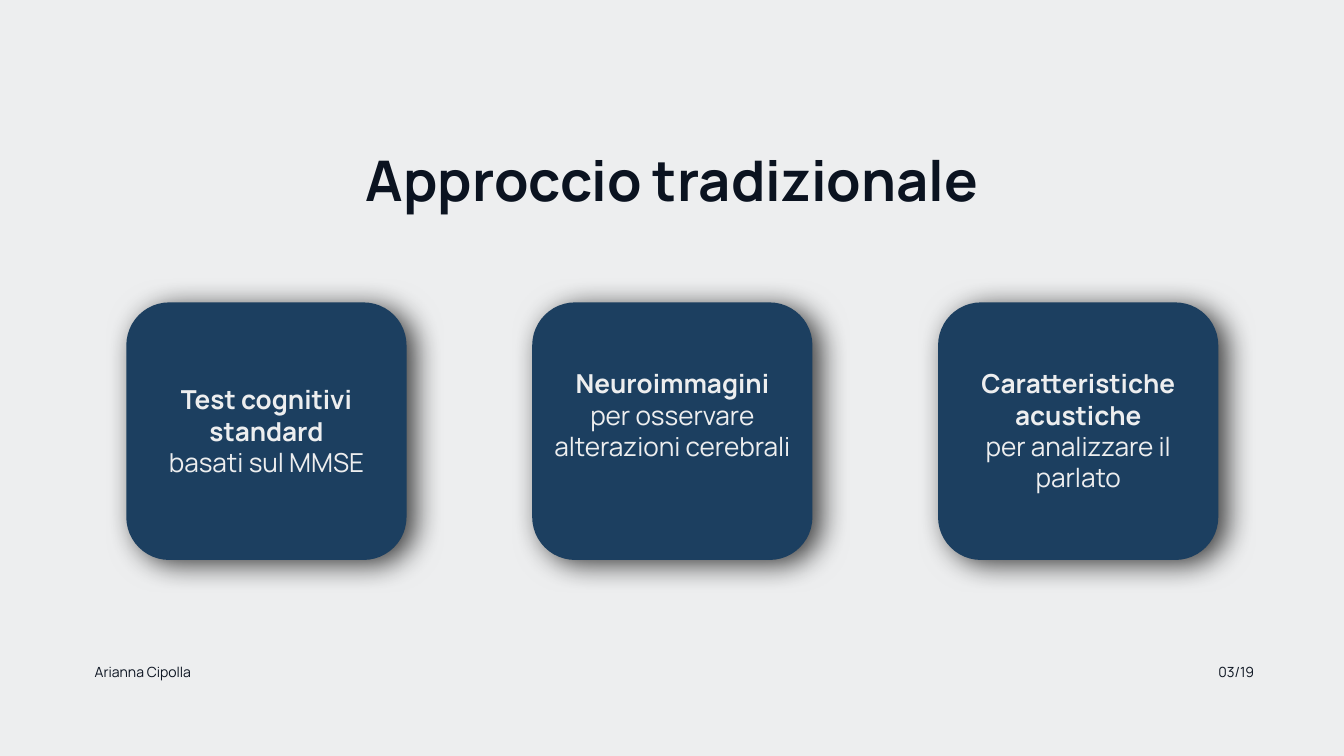
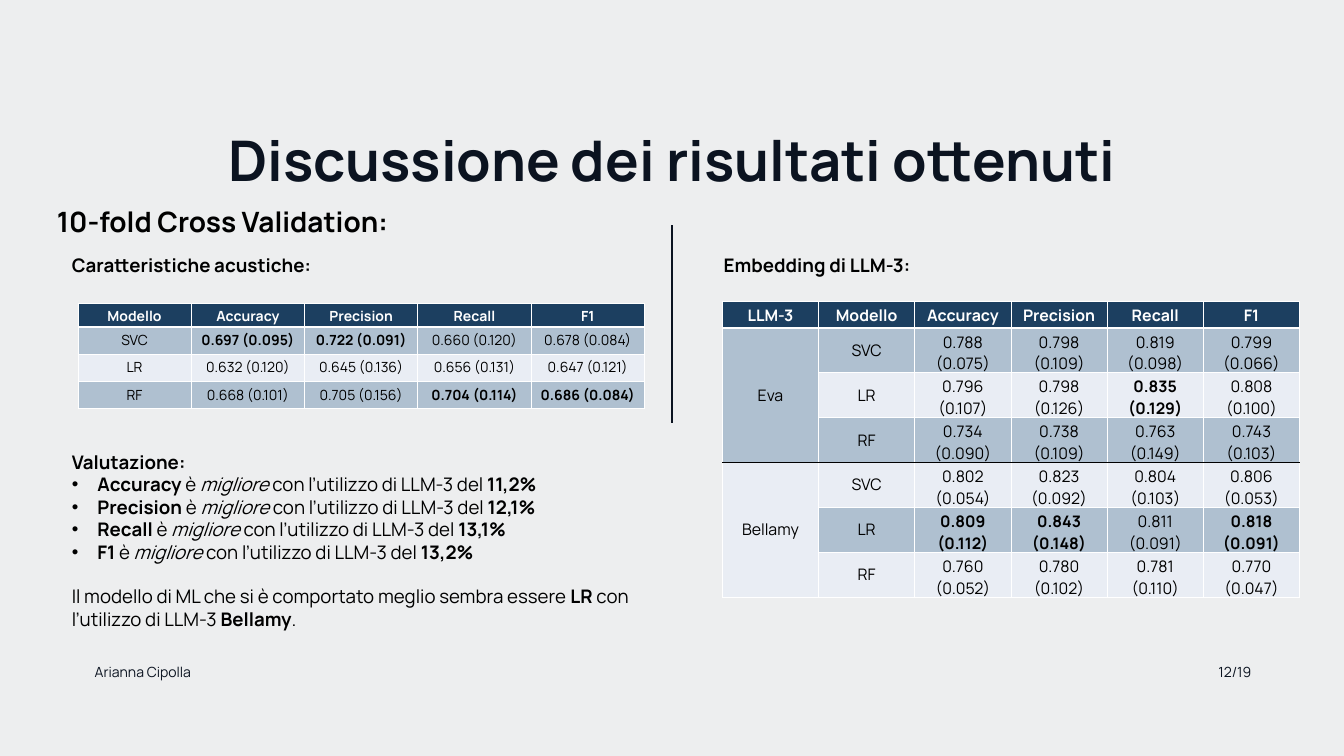
from dataclasses import dataclass

from lxml import etree
from pptx import Presentation
from pptx.dml.color import RGBColor
from pptx.enum.shapes import MSO_CONNECTOR, MSO_SHAPE
from pptx.enum.text import MSO_ANCHOR, MSO_AUTO_SIZE, PP_ALIGN
from pptx.oxml.ns import qn
from pptx.util import Inches, Pt

LEFT, CENTER = PP_ALIGN.LEFT, PP_ALIGN.CENTER
MIDDLE = MSO_ANCHOR.MIDDLE
GROW = MSO_AUTO_SIZE.SHAPE_TO_FIT_TEXT
ROUND, RECT = MSO_SHAPE.ROUNDED_RECTANGLE, MSO_SHAPE.RECTANGLE
LINE = MSO_CONNECTOR.STRAIGHT

# The slide is a grid of 100 columns and 75 rows.
WIDTH, HEIGHT = Inches(20), Inches(11.25)
COL, ROW = WIDTH / 100, HEIGHT / 75


@dataclass(frozen=True)
class Theme:
    font: str = "Manrope"
    back: str = "EDEEEF"
    ink: str = "0B1320"
    navy: str = "1C3F60"
    band: str = "AFC0D0"
    pale: str = "E9EDF4"
    white: str = "FFFFFF"
    black: str = "000000"
    title: int = 60
    head: int = 30
    card: int = 28
    body: int = 20
    wide: int = 17
    small: int = 15


T = Theme()
AUTHOR = "Arianna Cipolla"
TOTAL = 19
MODEL = "LLM-3"
BEST = "Bellamy"
SCORES = ["Accuracy", "Precision", "Recall", "F1"]

CARDS = [
    ("Test cognitivi standard", "basati sul MMSE", 3),
    ("Neuroimmagini", "per osservare alterazioni cerebrali", 4),
    ("Caratteristiche acustiche", "per analizzare il parlato", 4),
]
GAINS = ["11,2%", "12,1%", "13,1%", "13,2%"]

# A star marks the best score of its column.
SOUND = [
    ["Modello", *SCORES],
    ["SVC", "*0.697 (0.095)", "*0.722 (0.091)", "0.660 (0.120)", "0.678 (0.084)"],
    ["LR", "0.632 (0.120)", "0.645 (0.136)", "0.656 (0.131)", "0.647 (0.121)"],
    ["RF", "0.668 (0.101)", "0.705 (0.156)", "*0.704 (0.114)", "*0.686 (0.084)"],
]
EMBED = [
    [MODEL, "Modello", *SCORES],
    ["Eva", "SVC", "0.788 (0.075)", "0.798 (0.109)", "0.819 (0.098)", "0.799 (0.066)"],
    ["", "LR", "0.796 (0.107)", "0.798 (0.126)", "*0.835 (0.129)", "0.808 (0.100)"],
    ["", "RF", "0.734 (0.090)", "0.738 (0.109)", "0.763 (0.149)", "0.743 (0.103)"],
    [BEST, "SVC", "0.802 (0.054)", "0.823 (0.092)", "0.804 (0.103)", "0.806 (0.053)"],
    ["", "LR", "*0.809 (0.112)", "*0.843 (0.148)", "0.811 (0.091)", "*0.818 (0.091)"],
    ["", "RF", "0.760 (0.052)", "0.780 (0.102)", "0.781 (0.110)", "0.770 (0.047)"],
]


def rgb(code):
    return RGBColor.from_string(code)


def place(x, y, w, h):
    """Turn columns and rows into slide lengths."""
    return round(x * COL), round(y * ROW), round(w * COL), round(h * ROW)


def tint(parent, color, alpha=None):
    """Append an srgbClr element, with an opacity in percent if given."""
    node = etree.SubElement(parent, qn("a:srgbClr"), val=color)
    if alpha is not None:
        etree.SubElement(node, qn("a:alpha"), val=str(alpha * 1000))


def add_run(para, text, size, color, style=""):
    """Add one run; style holds b for bold and i for italic."""
    run = para.add_run()
    run.text = text
    font = run.font
    font.name, font.size = T.font, Pt(size)
    font.bold, font.italic = "b" in style, "i" in style
    font.color.rgb = rgb(color)


def fill_frame(frame, paras, size, color, align=LEFT, pitch=None):
    """Write paragraphs, each a list of (text, style) runs."""
    for num, runs in enumerate(paras):
        para = frame.add_paragraph() if num else frame.paragraphs[0]
        para.alignment = align
        if pitch:
            para.line_spacing = Pt(pitch)
        for text, style in runs:
            add_run(para, text, size, color, style)


def add_text(slide, box, paras, size, color, align=LEFT, pitch=None,
             wrap=True, bare=False):
    frame = slide.shapes.add_textbox(*place(*box)).text_frame
    frame.word_wrap = wrap
    frame.auto_size = GROW
    if bare:
        frame.margin_left = frame.margin_right = 0
        frame.margin_top = frame.margin_bottom = 0
    fill_frame(frame, paras, size, color, align, pitch)
    return frame


def add_page(deck, title, top, num):
    """Start a slide with its background, title and footer."""
    slide = deck.slides.add_slide(deck.slide_layouts[6])
    slide.background.fill.solid()
    slide.background.fill.fore_color.rgb = rgb(T.back)
    add_text(slide, (10, top, 80, 6.53), [[(title, "b")]], T.title, T.ink,
             CENTER, 69, bare=True)
    for x, w, text in ((7.05, 10.9, AUTHOR), (90.65, 3.75, f"{num:02}/{TOTAL}")):
        add_text(slide, (x, 64.93, w, 2.4), [[(text, "")]], T.small, T.ink,
                 pitch=28, bare=True)
    return slide


def add_shade(shape):
    """Give a shape a soft shadow to its lower right."""
    shape.shadow.inherit = False
    effects = shape._element.spPr.find(qn("a:effectLst"))
    shade = etree.SubElement(
        effects, qn("a:outerShdw"), blurRad=str(Pt(31.4)), dist=str(Pt(10.1)),
        dir=str(27 * 60000), algn="tl", rotWithShape="0")
    tint(shade, T.black, 75)


def add_card(slide, box, head, note, lines):
    x, y, w, h = box
    card = slide.shapes.add_shape(ROUND, *place(*box))
    card.fill.solid()
    card.fill.fore_color.rgb = rgb(T.navy)
    card.line.fill.background()
    add_shade(card)
    inset, tall = w * 0.055, 0.45 + 3.2 * lines
    add_text(slide, (x + inset, y + (h - tall) / 2, w - 2 * inset, tall),
             [[(head, "b")], [(note, "")]], T.card, T.back, CENTER)


def add_edge(props, side, color, width):
    edge = etree.SubElement(props, qn(f"a:ln{side}"), w=str(Pt(width)))
    tint(etree.SubElement(edge, qn("a:solidFill")), color)


def add_grid(slide, box, data, size, first, group=0):
    """Draw a banded table; group is the rows that share a first cell."""
    x, y, w, h = box
    rows, cols = len(data), len(data[0])
    shape = slide.shapes.add_table(rows, cols, *place(*box))
    table = shape.table
    for num, line in enumerate(table.rows):
        line.height = round((first if num == 0 else (h - first) / (rows - 1)) * ROW)
    for column in table.columns:
        column.width = round(w * COL / cols)

    def rule(num):
        """Give colour and width of the line above a row."""
        split = group and num == group + 1
        return (T.black if split else T.white), (3 if num == 1 else 1)

    for r, line in enumerate(data):
        for c, text in enumerate(line):
            cell = table.cell(r, c)
            props = cell._tc.get_or_add_tcPr()
            add_edge(props, "L", T.white, 1)
            add_edge(props, "R", T.white, 1)
            held = group if group and c == 0 and text and r else 1
            add_edge(props, "T", *rule(r))
            add_edge(props, "B", *rule(r + held))
            cell.fill.solid()
            shade = T.navy if r == 0 else T.band if r % 2 else T.pale
            cell.fill.fore_color.rgb = rgb(shade)
            cell.vertical_anchor = MIDDLE
            if text:
                bold = "b" if r == 0 or text.startswith("*") else ""
                fill_frame(cell.text_frame, [[(text.lstrip("*"), bold)]], size,
                           T.black if r else T.white, CENTER)
    if group:
        for r in range(1, rows, group):
            table.cell(r, 0).merge(table.cell(r + group - 1, 0))


def add_bullet(para):
    props = para._p.get_or_add_pPr()
    props.set("marL", str(Inches(0.38)))
    props.set("indent", str(-Inches(0.38)))
    etree.SubElement(props, qn("a:buFont"), typeface="Arial")
    etree.SubElement(props, qn("a:buChar"), char="•")


def add_review(slide, box):
    """Write the gain of each score and the closing remark."""
    gains = [
        [(score, "b"), (" è ", ""), ("migliore", "i"),
         (f" con l’utilizzo di {MODEL} del ", ""), (gain, "b")]
        for score, gain in zip(SCORES, GAINS)
    ]
    close = [
        ("Il modello di ML che si è comportato meglio sembra essere ", ""),
        ("LR", "b"), (f" con l’utilizzo di {MODEL} ", ""), (BEST, "b"), (".", ""),
    ]
    frame = add_text(slide, box, [[("Valutazione:", "b")], *gains, close],
                     T.body, T.black)
    for para in frame.paragraphs[1:-1]:
        add_bullet(para)
    frame.paragraphs[-1].space_before = Pt(24)


def add_rule(slide, x, top, end):
    rule = slide.shapes.add_connector(
        LINE, round(x * COL), round(top * ROW), round(x * COL), round(end * ROW))
    rule.line.color.rgb = rgb(T.ink)
    rule.line.width = Pt(2.25)
    etree.SubElement(rule._element.spPr, qn("a:effectLst"))


def add_label(slide, box, text, size):
    add_text(slide, box, [[(text, "b")]], size, T.black, wrap=False)


def build_cards(deck):
    slide = add_page(deck, "Approccio tradizionale", 14.73, 3)
    for num, card in enumerate(CARDS):
        add_card(slide, (9.4 + 30.2 * num, 30, 20.85, 25.55), *card)


def build_results(deck):
    slide = add_page(deck, "Discussione dei risultati ottenuti", 12.73, 12)
    add_label(slide, (3.75, 20, 27.5, 4.07), "10-fold Cross Validation:", T.head)
    add_rule(slide, 50, 22.33, 41.93)
    left, right, top = 4.85, 53.35, 24.87
    add_label(slide, (left, top, 19.9, 2.93), "Caratteristiche acustiche:", T.body)
    add_label(slide, (right, top, 16.1, 2.93), f"Embedding di {MODEL}:", T.body)
    add_grid(slide, (left + 0.95, top + 5.2, 42.15, 10.45), SOUND, T.small, 2.35)
    add_grid(slide, (right + 0.4, top + 5.06, 42.95, 29.3), EMBED, T.wide, 2.6, 3)
    add_review(slide, (left, top + 19.53, 42.95, 18.6))


def main():
    deck = Presentation()
    deck.slide_width, deck.slide_height = WIDTH, HEIGHT
    build_cards(deck)
    build_results(deck)
    deck.save("out.pptx")


if __name__ == "__main__":
    main()
